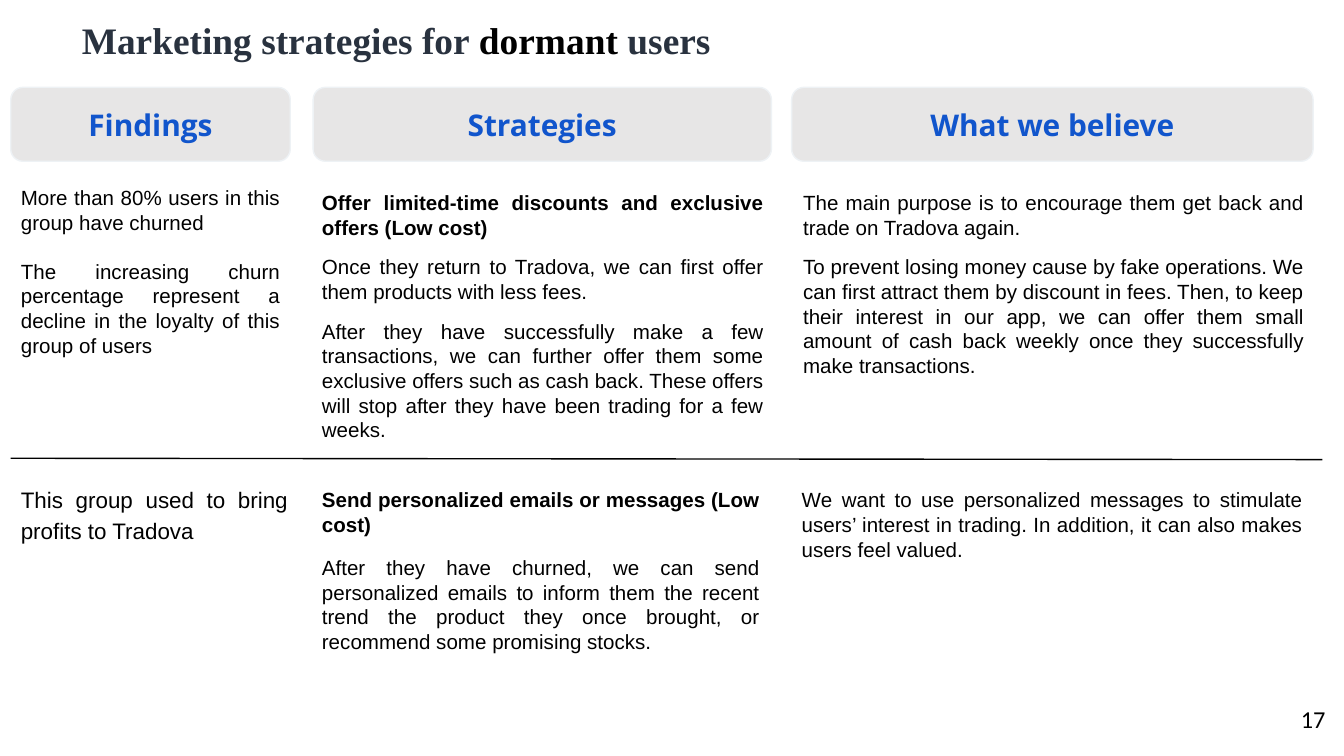
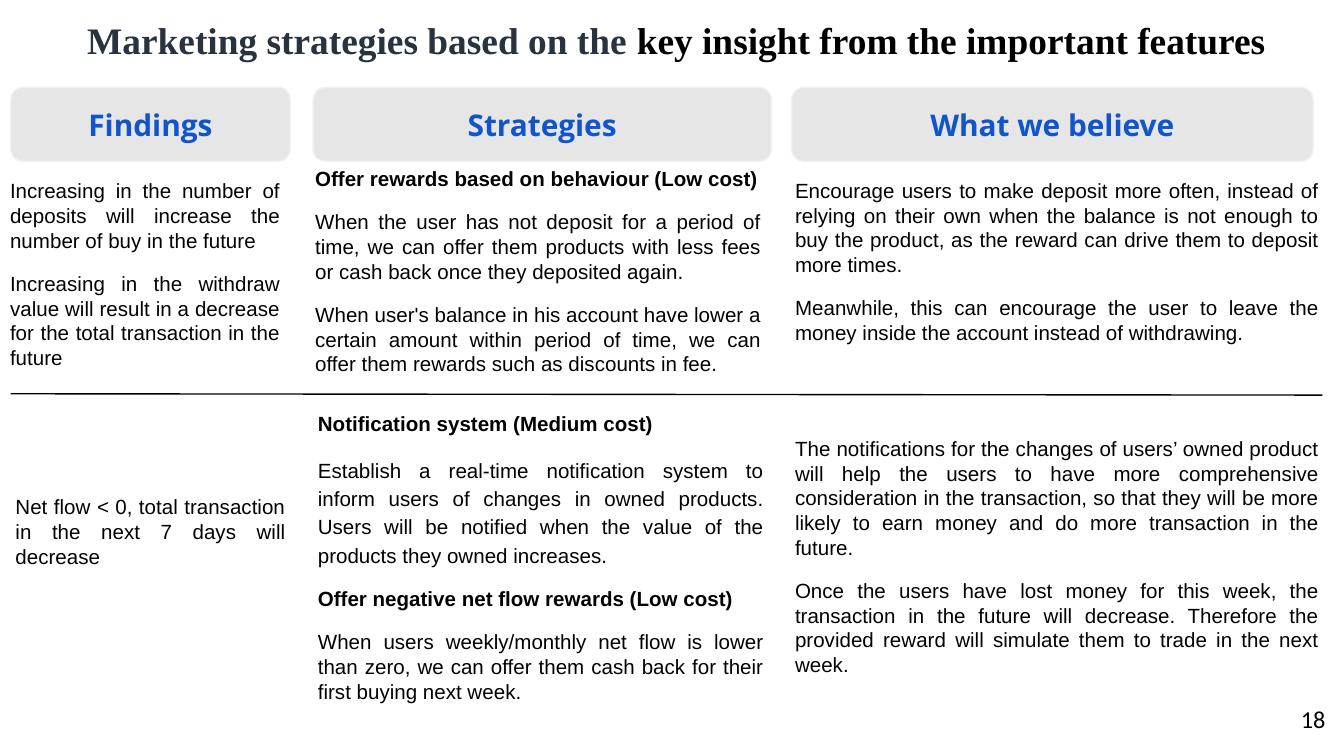
from lxml.etree import SubElement
from pptx import Presentation
from pptx.dml.color import RGBColor
from pptx.enum.shapes import MSO_CONNECTOR, MSO_SHAPE
from pptx.enum.text import MSO_ANCHOR, MSO_AUTO_SIZE, PP_ALIGN
from pptx.oxml.ns import qn
from pptx.util import Inches, Pt

COLORS = {"ink": "000000", "title": "29323F", "heading": "1155CC",
          "band": "E7E6E6", "band_edge": "EEF2F5"}

# Header bands: label, left, width
HEADERS = [("Findings", 0.08, 2.08), ("Strategies", 2.33, 3.41),
           ("What we believe", 5.89, 3.88)]

# Body blocks: (left, top, width, height), top and bottom inset in points, paragraphs.
# Paragraph: text, bold, points before, then size and line spacing if special.
SLIDES = [
    {
        "number": "17",
        "title_at": (0.51, 0.08, 9.32, 0.34),
        "title": [("Marketing strategies for ", "title"), ("dormant", "ink"),
                  (" users", "title")],
        "divider": 3.41,
        "blocks": [
            ((0.08, 1.34, 2.08, 1.37), 2.7, [
                ("More than 80% users in this group have churned", False, 0),
                ("The increasing churn percentage represent a decline in the "
                 "loyalty of this group of users", False, 13)]),
            ((2.32, 1.34, 3.44, 2.04), 5.4, [
                ("Offer limited-time discounts and exclusive offers (Low cost)", True, 8),
                ("Once they return to Tradova, we can first offer them products "
                 "with less fees.", False, 8),
                ("After they have successfully make a few transactions, we can "
                 "further offer them some exclusive offers such as cash back. "
                 "These offers will stop after they have been trading for a few "
                 "weeks.", False, 8)]),
            ((5.9, 1.34, 3.88, 1.56), 5.4, [
                ("The main purpose is to encourage them get back and trade on "
                 "Tradova again.", False, 8),
                ("To prevent losing money cause by fake operations. We can first "
                 "attract them by discount in fees. Then, to keep their interest "
                 "in our app, we can offer them small amount of cash back weekly "
                 "once they successfully make transactions.", False, 8)]),
            ((0.08, 3.55, 2.14, 0.51), 2.7, [
                ("This group used to bring profits to Tradova", False, 0, 12, 1.15)]),
            ((2.32, 3.55, 3.41, 1.4), 5.4, [
                ("Send personalized emails or messages (Low cost)", True, 10),
                ("After they have churned, we can send personalized emails to "
                 "inform them the recent trend the product they once brought, or "
                 "recommend some promising stocks.", False, 10)]),
            ((5.89, 3.55, 3.88, 0.71), 5.4, [
                ("We want to use personalized messages to stimulate users’ "
                 "interest in trading. In addition, it can also makes users feel "
                 "valued.", False, 8)]),
        ],
    },
    {
        "number": "18",
        "title_at": (0.55, 0.08, 9.32, 0.55),
        "title": [("Marketing strategies based on the ", "title"),
                  ("key insight from the important features", "ink")],
        "divider": 2.93,
        "blocks": [
            ((0, 1.29, 2.16, 1.51), 2.7, [
                ("Increasing in the number of deposits will increase the number "
                 "of buy in the future", False, 10),
                ("Increasing in the withdraw value will result in a decrease for "
                 "the total transaction in the future", False, 10)]),
            ((2.27, 1.16, 3.47, 1.73), 5.4, [
                ("Offer rewards based on behaviour (Low cost)", True, 10),
                ("When the user has not deposit for a period of time, we can "
                 "offer them products with less fees or cash back once they "
                 "deposited again.", False, 10),
                ("When user's balance in his account have lower a certain amount "
                 "within period of time, we can offer them rewards such as "
                 "discounts in fee.", False, 10)]),
            ((5.84, 1.25, 4.05, 1.4), 5.4, [
                ("Encourage users to make deposit more often, instead of relying "
                 "on their own when the balance is not enough to buy the product, "
                 "as the reward can drive them to deposit more times.", False, 8),
                ("Meanwhile, this can encourage the user to leave the money "
                 "inside the account instead of withdrawing.", False, 10)]),
            ((0.04, 3.64, 2.16, 0.63), 2.7, [
                ("Net flow < 0, total transaction in the next 7 days will "
                 "decrease", False, 10)]),
            ((2.29, 2.98, 3.47, 2.35), 5.4, [
                ("Notification system (Medium cost)", True, 10),
                ("Establish a real-time notification system to inform users of "
                 "changes in owned products. Users will be notified when the "
                 "value of the products they owned increases.", False, 10, 11, 1.15),
                ("Offer negative net flow rewards (Low cost)", True, 10),
                ("When users weekly/monthly net flow is lower than zero, we can "
                 "offer them cash back for their first buying next week.", False, 10)]),
            ((5.84, 3.17, 4.05, 1.96), 5.4, [
                ("The notifications for the changes of users’ owned product will "
                 "help the users to have more comprehensive consideration in the "
                 "transaction, so that they will be more likely to earn money and "
                 "do more transaction in the future.", False, 10),
                ("Once the users have lost money for this week, the transaction "
                 "in the future will decrease. Therefore the provided reward will "
                 "simulate them to trade in the next week.", False, 10)]),
        ],
    },
]


def set_frame(box, side, edge):
    frame = box.text_frame
    frame.word_wrap = True
    frame.margin_left = frame.margin_right = Pt(side)
    frame.margin_top = frame.margin_bottom = Pt(edge)
    return frame


def add_run(para, text, font, size, color, bold=False):
    span = para.add_run()
    span.text = text
    span.font.name = font
    span.font.size = Pt(size)
    span.font.bold = bold
    span.font.color.rgb = RGBColor.from_string(COLORS[color])


# Widescreen page, 16 to 9
deck = Presentation()
deck.slide_width = Inches(10)
deck.slide_height = Inches(10 * 9 / 16)

for content in SLIDES:
    page = deck.slides.add_slide(deck.slide_layouts[6])

    # Title
    box = page.shapes.add_textbox(*map(Inches, content["title_at"]))
    para = set_frame(box, 7.2, 3.6).paragraphs[0]
    para.alignment = PP_ALIGN.JUSTIFY
    for text, color in content["title"]:
        add_run(para, text, "Times New Roman", 20, color, True)

    # Column headers
    for label, left, width in HEADERS:
        band = page.shapes.add_shape(MSO_SHAPE.ROUNDED_RECTANGLE, Inches(left),
                                     Inches(0.65), Inches(width), Inches(0.55))
        band.shadow.inherit = False
        band.fill.solid()
        band.fill.fore_color.rgb = RGBColor.from_string(COLORS["band"])
        band.line.color.rgb = RGBColor.from_string(COLORS["band_edge"])
        band.line.width = Pt(0.75)
        frame = set_frame(band, 5.4, 5.4)
        frame.vertical_anchor = MSO_ANCHOR.MIDDLE
        para = frame.paragraphs[0]
        para.alignment = PP_ALIGN.CENTER
        add_run(para, label, "Open Sans", 16, "heading", True)

    # Body blocks
    for place, edge, paragraphs in content["blocks"]:
        box = page.shapes.add_textbox(*map(Inches, place))
        frame = set_frame(box, 5.4, edge)
        frame.auto_size = MSO_AUTO_SIZE.SHAPE_TO_FIT_TEXT
        for index, (text, bold, before, *special) in enumerate(paragraphs):
            size, spacing = special or (11, 1.0)
            para = frame.add_paragraph() if index else frame.paragraphs[0]
            para.alignment = PP_ALIGN.JUSTIFY
            para.space_before = Pt(before)
            para.line_spacing = spacing
            add_run(para, text, "Arial", size, "ink", bold)

    # Divider between the two rows
    top = content["divider"]
    divider = page.shapes.add_connector(MSO_CONNECTOR.STRAIGHT, Inches(0.08), Inches(top),
                                        Inches(9.84), Inches(top + 0.01))
    divider.line.color.rgb = RGBColor.from_string(COLORS["ink"])
    divider.line.width = Pt(0.75)
    SubElement(divider._element.spPr, qn("a:effectLst"))

    # Page number
    box = page.shapes.add_textbox(Inches(9.36), Inches(5.19), Inches(0.6), Inches(0.43))
    para = set_frame(box, 7.2, 3.6).paragraphs[0]
    para.alignment = PP_ALIGN.RIGHT
    add_run(para, content["number"], "Calibri", 13, "ink")

deck.save("out.pptx")
